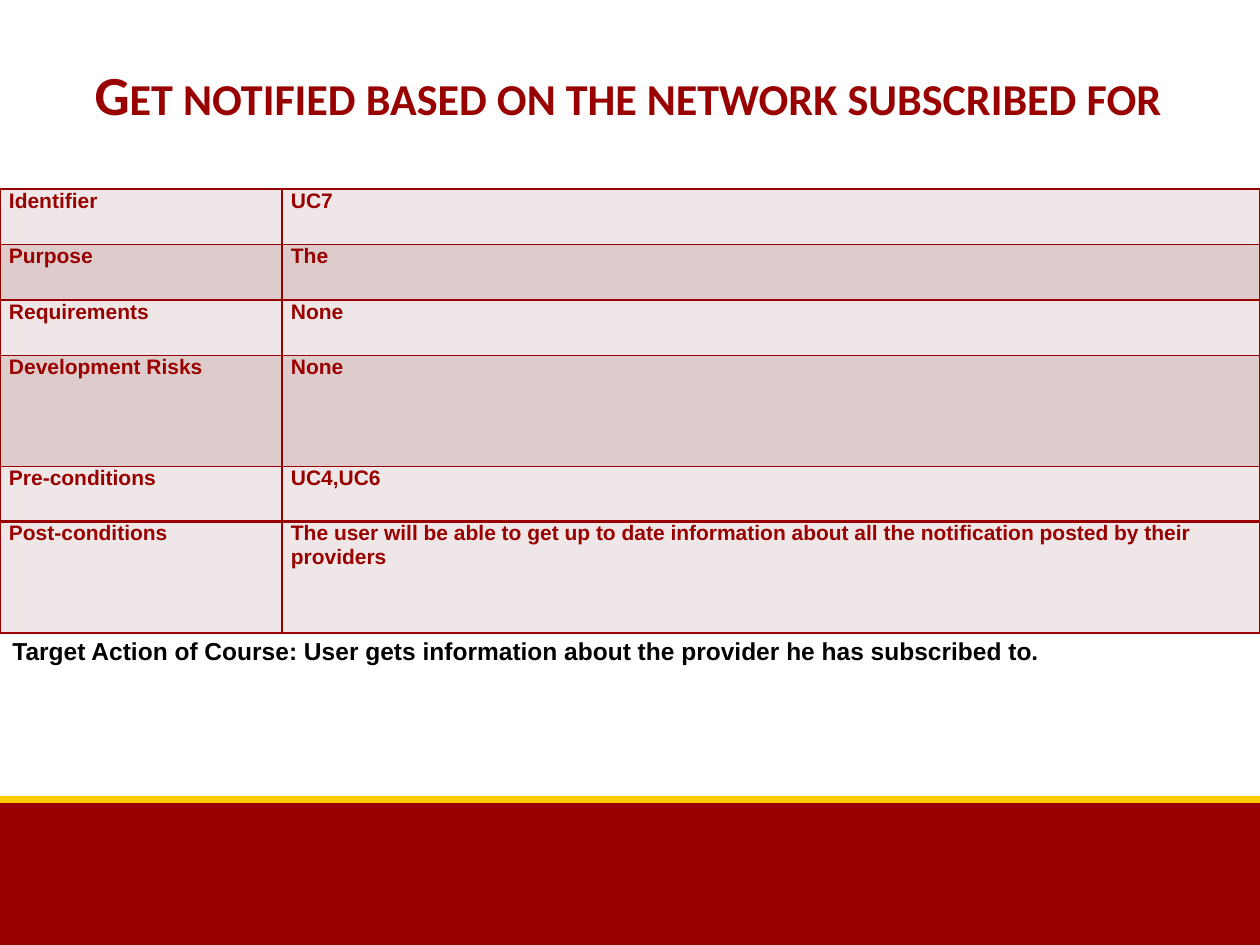
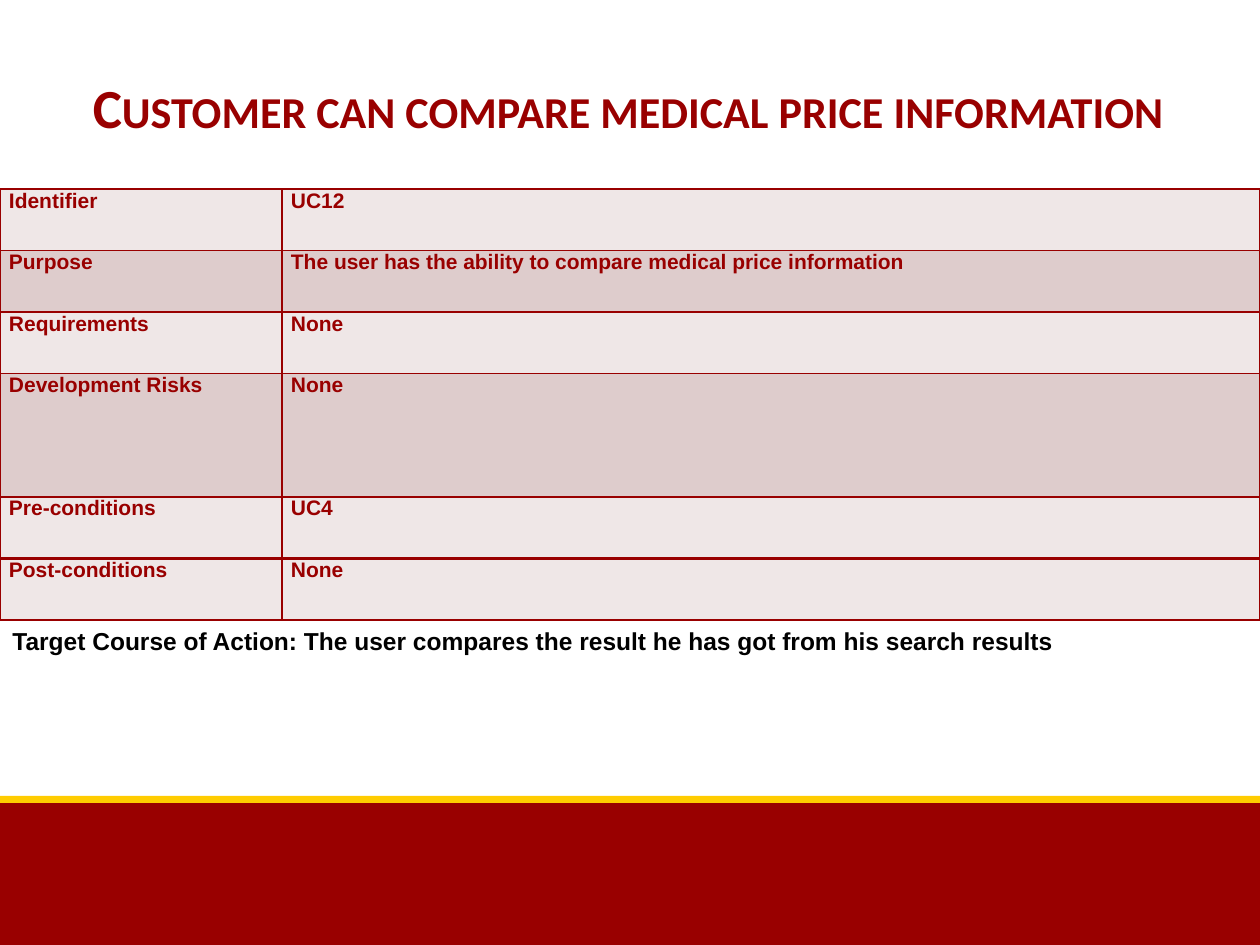
from lxml import etree
from pptx import Presentation
from pptx.dml.color import RGBColor
from pptx.enum.shapes import MSO_SHAPE
from pptx.enum.text import MSO_ANCHOR, PP_ALIGN
from pptx.oxml.ns import qn
from pptx.util import Emu, Pt

RECT = MSO_SHAPE.RECTANGLE
MIDDLE, TOP = MSO_ANCHOR.MIDDLE, MSO_ANCHOR.TOP
CENTER, LEFT = PP_ALIGN.CENTER, PP_ALIGN.LEFT

# Shared geometry, colours and labels
EMU_PER_PX = 914400 / 126
WIDTH, HEIGHT = 1260, 945
RED, GOLD, BLACK = "990000", "FFCC00", "000000"
LIGHT, DARK = "EFE7E7", "DECCCC"
COLUMNS = (282, 978)
TABLE_TOP = 189
LABELS = ("Identifier", "Purpose", "Requirements", "Development Risks",
          "Pre-conditions", "Post-conditions")
ROW_FILLS = (LIGHT, DARK, LIGHT, DARK, LIGHT, LIGHT)

USE_CASES = [
    dict(
        title="Get notified based on the network subscribed for",
        title_top=28, title_height=131,
        values=("UC7", "The", "None", "None", "UC4,UC6",
                "The user will be able to get up to date information about all "
                "the notification posted by their providers"),
        row_units=(1, 1, 1, 2, 1, 2), table_height=444,
        note="Target Action of Course: User gets information about the "
             "provider he has subscribed to.",
        note_top=630,
    ),
    dict(
        title="Customer can compare medical price information",
        title_top=34, title_height=144,
        values=("UC12",
                "The user has the ability to compare medical price information",
                "None", "None", "UC4", "None"),
        row_units=(1, 1, 1, 2, 1, 1), table_height=431,
        note="Target Course of Action: The user compares the result he has got "
             "from his search results",
        note_top=620,
    ),
]


def px(n):
    return Emu(round(n * EMU_PER_PX))


def rgb(color):
    return RGBColor.from_string(color)


def write(tf, text, size=12, font="Arial", color=RED, align=LEFT,
          small_caps=False):
    tf.word_wrap = True
    p = tf.paragraphs[0]
    p.alignment = align
    r = p.add_run()
    r.text = text
    r.font.size = Pt(size)
    r.font.name = font
    r.font.bold = True
    r.font.color.rgb = rgb(color)
    if small_caps:
        r.font._element.set("cap", "small")


def add_text(s, text, left, top, width, height, anchor=TOP, **style):
    box = s.shapes.add_textbox(px(left), px(top), px(width), px(height))
    box.text_frame.vertical_anchor = anchor
    write(box.text_frame, text, **style)


def add_band(s, top, height, color):
    sp = s.shapes.add_shape(RECT, 0, px(top), px(WIDTH), px(height))
    sp.shadow.inherit = False
    sp.fill.solid()
    sp.fill.fore_color.rgb = rgb(color)
    sp.line.fill.background()


def set_borders(cell, top=1, bottom=1):
    tcPr = cell._tc.get_or_add_tcPr()
    sides = (("L", 1), ("R", 1), ("T", top), ("B", bottom))
    for i, (side, width) in enumerate(sides):
        ln = etree.Element(qn(f"a:ln{side}"), w=str(Pt(width)))
        fill = etree.SubElement(ln, qn("a:solidFill"))
        etree.SubElement(fill, qn("a:srgbClr"), val=RED)
        tcPr.insert(i, ln)


def fill_cell(cell, text, color):
    cell.margin_left = cell.margin_right = px(9)
    cell.margin_top = cell.margin_bottom = 0
    cell.fill.solid()
    cell.fill.fore_color.rgb = rgb(color)
    write(cell.text_frame, text)


def add_use_case_table(s, values, row_units, height):
    last = len(LABELS) - 1
    table = s.shapes.add_table(len(LABELS), len(COLUMNS), 0, px(TABLE_TOP),
                               px(WIDTH), px(height)).table
    table.first_row = table.horz_banding = False
    for column, width in zip(table.columns, COLUMNS):
        column.width = px(width)
    for i, row_texts in enumerate(zip(LABELS, values)):
        table.rows[i].height = px(height * row_units[i] / sum(row_units))
        for j, text in enumerate(row_texts):
            cell = table.cell(i, j)
            fill_cell(cell, text, ROW_FILLS[i])
            # A heavier rule sets off the post-conditions
            set_borders(cell, top=2 if i == last else 1,
                        bottom=2 if i == last - 1 else 1)


def add_use_case_slide(prs, case):
    s = prs.slides.add_slide(prs.slide_layouts[6])
    # Footer bands
    add_band(s, 800, 145, RED)
    add_band(s, 796, 7, GOLD)
    # Title, table and closing note
    add_text(s, case["title"], 59, case["title_top"], 1138,
             case["title_height"], anchor=MIDDLE, size=31.5, font="Calibri",
             align=CENTER, small_caps=True)
    add_use_case_table(s, case["values"], case["row_units"],
                       case["table_height"])
    add_text(s, case["note"], 0, case["note_top"], WIDTH, 50,
             size=14, color=BLACK)


def main():
    prs = Presentation()
    prs.slide_width, prs.slide_height = px(WIDTH), px(HEIGHT)
    for case in USE_CASES:
        add_use_case_slide(prs, case)
    prs.save("out.pptx")


if __name__ == "__main__":
    main()
